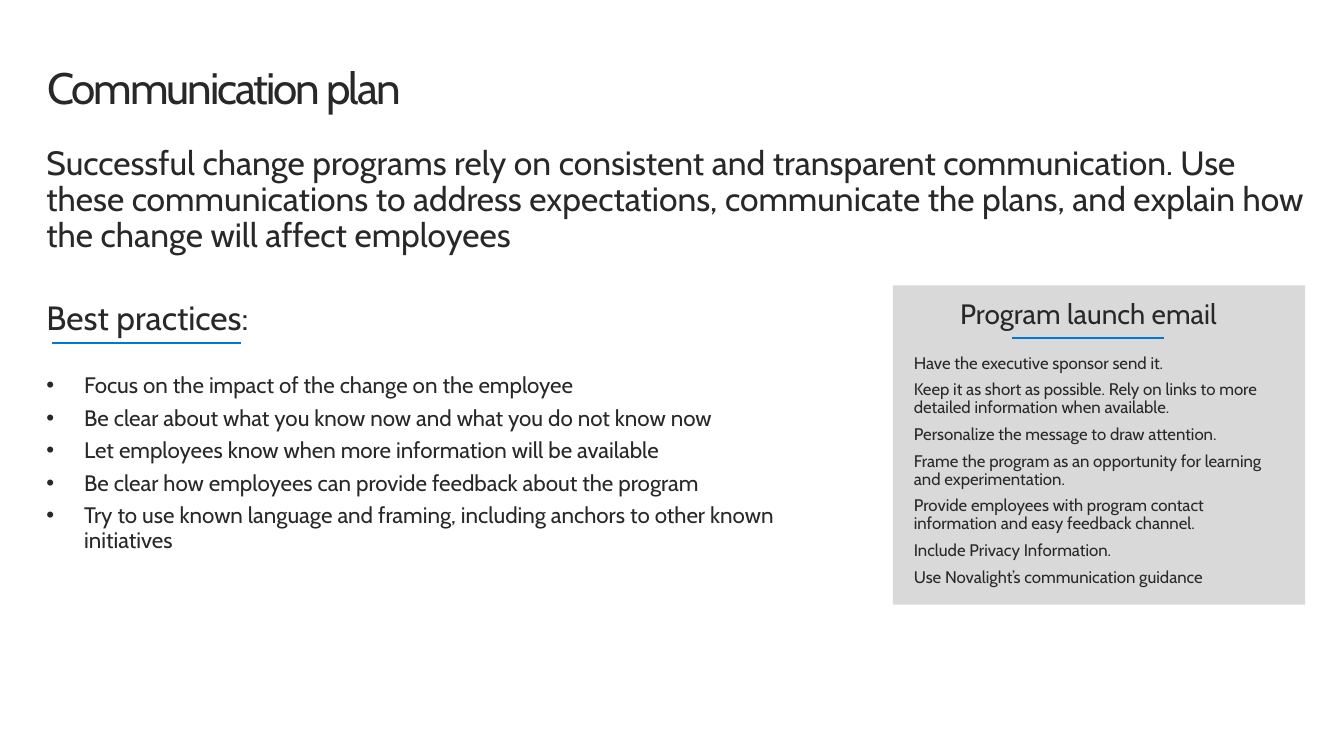
from lxml import etree
from pptx import Presentation
from pptx.dml.color import RGBColor
from pptx.enum import shapes, text
from pptx.oxml import ns
from pptx.util import Cm, Pt

INK, GREY, BLUE = "282828", "D9D9D9", "0078D7"
WIDE = (0.51, 0.41, 0.51, 0.41)
SLIM = (0.25, 0.13, 0.25, 0.13)

INTRO = (
    "Successful change programs rely on consistent and transparent "
    "communication. Use these communications to address expectations, "
    "communicate the plans, and explain how the change will affect employees"
)
TIPS = [
    "Focus on the impact of the change on the employee",
    "Be clear about what you know now and what you do not know now",
    "Let employees know when more information will be available",
    "Be clear how employees can provide feedback about the program",
    "Try to use known language and framing, including anchors to other known \vinitiatives",
]
EMAIL = [
    "Have the executive sponsor send it.",
    "Keep it as short as possible. Rely on links to more detailed information when available.",
    "Personalize the message to draw attention.",
    "Frame the program as an opportunity for learning and experimentation.",
    "Provide employees with program contact information and easy feedback channel.",
    "Include Privacy Information.",
    "Use Novalight’s communication guidance",
]


def color(code):
    return RGBColor.from_string(code)


def assign(item, values):
    for name, value in values.items():
        setattr(item, name, value)


def place(shape, box):
    assign(shape, dict(zip(("left", "top", "width", "height"), map(Cm, box))))


def mark(para, sign):
    """Give a paragraph a hanging bullet, or none."""
    props = para._p.get_or_add_pPr()
    hang = Cm(0.95) if sign else 0
    props.set("marL", str(hang))
    props.set("indent", str(-hang))
    if sign:
        etree.SubElement(props, ns.qn("a:buChar")).set("char", sign)
    else:
        etree.SubElement(props, ns.qn("a:buNone"))


def write(shape, lines, size, pad=WIDE, align=text.PP_ALIGN.LEFT, after=6,
          sign=None, fit=text.MSO_AUTO_SIZE.SHAPE_TO_FIT_TEXT):
    """Fill a shape with one paragraph per line."""
    frame = shape.text_frame
    frame.text = "\n".join(lines)
    sides = ("margin_left", "margin_top", "margin_right", "margin_bottom")
    assign(frame, dict(zip(sides, map(Cm, pad))))
    assign(frame, {"word_wrap": True, "auto_size": fit,
                   "vertical_anchor": text.MSO_ANCHOR.TOP})
    for para in frame.paragraphs:
        assign(para, {"alignment": align, "line_spacing": 0.9,
                      "space_before": Pt(0), "space_after": Pt(after)})
        mark(para, sign)
        for run in para.runs:
            assign(run.font, {"name": "Cabin", "size": Pt(size)})
            run.font.color.rgb = color(INK)


def label(slide, box, line, size, **style):
    shape = slide.shapes.add_textbox(*map(Cm, box))
    write(shape, [line], size, **style)


def panel(slide, box, fill):
    """Draw a plain rectangle behind everything else."""
    shape = slide.shapes.add_shape(shapes.MSO_SHAPE.RECTANGLE, *map(Cm, box))
    shape.shadow.inherit = False
    shape.fill.solid()
    shape.fill.fore_color.rgb = color(fill)
    shape.line.fill.background()
    shape.element.getparent().insert(2, shape.element)


def rule(slide, start, end, level):
    """Underline a heading."""
    line = slide.shapes.add_connector(
        shapes.MSO_CONNECTOR.STRAIGHT, *map(Cm, (start, level, end, level)))
    line.line.color.rgb = color(BLUE)
    line.line.width = Pt(1.5)
    etree.SubElement(line.element.spPr, ns.qn("a:effectLst"))


def main():
    deck = Presentation()
    assign(deck, {"slide_width": Cm(33.87), "slide_height": Cm(19.05)})
    slide = deck.slides.add_slide(deck.slide_layouts[3])
    title, tips, email = slide.placeholders

    # Title
    place(title, (1.19, 1.22, 31.5, 2.06))
    write(title, ["Communication plan"], 31.4, pad=(0, 0.46, 0, 0), after=0,
          fit=text.MSO_AUTO_SIZE.NONE)
    title.text_frame.paragraphs[0].runs[0].font._element.set("spc", "-150")

    # Introduction
    label(slide, (0.66, 3.28, 33.05, 3.58), INTRO, 24)

    # Best practices
    label(slide, (0.66, 7.19, 32.82, 1.75), "Best practices:", 24)
    rule(slide, 1.32, 6.07, 8.64)
    place(tips, (0.66, 9.02, 32.82, 5.44))
    write(tips, TIPS, 16, sign="•")

    # Launch email
    panel(slide, (22.5, 7.19, 10.39, 8.05), GREY)
    label(slide, (22.63, 7.19, 9.6, 1.6), "Program launch email", 20,
          align=text.PP_ALIGN.CENTER)
    rule(slide, 25.5, 29.34, 8.51)
    place(email, (22.78, 8.81, 9.8, 6.83))
    write(email, EMAIL, 12, pad=SLIM)

    deck.save("out.pptx")


if __name__ == "__main__":
    main()
